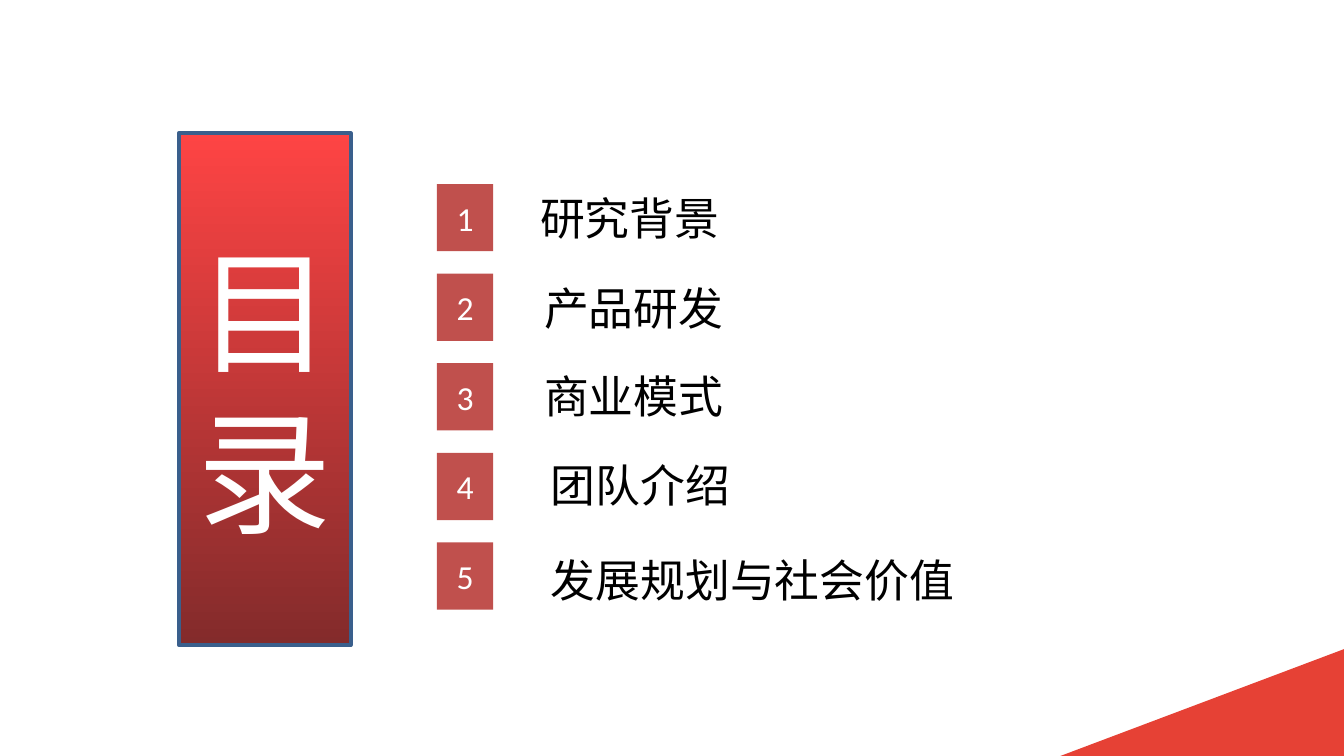
import pptx
import pptx.dml.color
import pptx.enum.shapes
import pptx.enum.text
import pptx.util

Inches = pptx.util.Inches
RGBColor = pptx.dml.color.RGBColor
ALIGN = pptx.enum.text.PP_ALIGN
ANCHOR = pptx.enum.text.MSO_ANCHOR

WHITE = RGBColor(0xFF, 0xFF, 0xFF)
BLACK = RGBColor(0x00, 0x00, 0x00)
CORNER_RED = RGBColor(0xE6, 0x41, 0x35)
BANNER_TOP = RGBColor(0xFE, 0x44, 0x44)
BANNER_BOTTOM = RGBColor(0x83, 0x2B, 0x2B)
BANNER_EDGE = RGBColor(0x3A, 0x5F, 0x8C)
NUMBER_RED = RGBColor(0xC0, 0x50, 0x4D)

PAGE_WIDTH = 10
PAGE_HEIGHT = PAGE_WIDTH * 9 / 16
ROW_PITCH = 2 / 3
ROW_HEIGHT = 0.5
NUMBER_WIDTH = 0.42

# Wording, then label offset from the row's corner (left, top) and label width
TOPICS = [
    ("研究背景", 0.67, 0, 2.01),
    ("产品研发", 0.7, 0, 3.71),
    ("商业模式", 0.7, -0.01, 2.01),
    ("团队介绍", 0.75, -0.01, 2.98),
    ("发展规划与社会价值", 0.75, 0.03, 3.39),
]


def write_text(shape, text, size, color, align=ALIGN.LEFT, anchor=ANCHOR.TOP):
    frame = shape.text_frame
    frame.word_wrap = True
    frame.auto_size = pptx.enum.text.MSO_AUTO_SIZE.NONE
    frame.vertical_anchor = anchor
    para = frame.paragraphs[0]
    para.alignment = align
    span = para.add_run()
    span.text = text
    span.font.name = "Calibri"
    span.font.size = pptx.util.Pt(size)
    span.font.color.rgb = color


def add_corner(page, left, top, width, height):
    """Draw the red triangle that rises to the right."""
    right, bottom = left + width, top + height
    builder = page.shapes.build_freeform(Inches(left), Inches(bottom))
    builder.add_line_segments(
        [(Inches(right), Inches(top)), (Inches(right), Inches(bottom))], close=True
    )
    corner = builder.convert_to_shape()
    corner.shadow.inherit = False
    corner.fill.solid()
    corner.fill.fore_color.rgb = CORNER_RED
    corner.line.fill.background()


def add_banner(page, left, top, width, height):
    """Turn the title into a tall gradient banner."""
    banner = page.shapes.title
    banner.left, banner.top = Inches(left), Inches(top)
    banner.width, banner.height = Inches(width), Inches(height)
    banner.fill.gradient()
    banner.fill.gradient_angle = 270
    for stop, color, position in zip(
        banner.fill.gradient_stops, (BANNER_TOP, BANNER_BOTTOM), (0, 1)
    ):
        stop.color.rgb = color
        stop.position = position
    banner.line.color.rgb = BANNER_EDGE
    banner.line.width = pptx.util.Pt(2)
    write_text(banner, "目录", 72, WHITE, align=ALIGN.CENTER, anchor=ANCHOR.MIDDLE)


def add_topic(page, left, top, number, topic):
    text, label_left, label_top, label_width = topic
    box = page.shapes.add_shape(
        pptx.enum.shapes.MSO_SHAPE.RECTANGLE,
        Inches(left), Inches(top), Inches(NUMBER_WIDTH), Inches(ROW_HEIGHT),
    )
    box.shadow.inherit = False
    box.fill.solid()
    box.fill.fore_color.rgb = NUMBER_RED
    box.line.fill.background()
    write_text(box, str(number), 18, WHITE, align=ALIGN.CENTER, anchor=ANCHOR.MIDDLE)

    label = page.shapes.add_textbox(
        Inches(left + label_left), Inches(top + label_top),
        Inches(label_width), Inches(ROW_HEIGHT),
    )
    write_text(label, text, 24, BLACK)


def add_topics(page, left, top):
    for index, topic in enumerate(TOPICS):
        add_topic(page, left, top + index * ROW_PITCH, index + 1, topic)


def main():
    deck = pptx.Presentation()
    deck.slide_width = Inches(PAGE_WIDTH)
    deck.slide_height = Inches(PAGE_HEIGHT)
    page = deck.slides.add_slide(deck.slide_layouts[5])
    page.background.fill.solid()
    page.background.fill.fore_color.rgb = WHITE
    add_corner(page, 7.89, 4.83, PAGE_WIDTH - 7.89, PAGE_HEIGHT - 4.83)
    add_banner(page, 1.33, 0.99, 1.28, 3.81)
    add_topics(page, 3.25, 1.37)
    deck.save("out.pptx")


if __name__ == "__main__":
    main()
